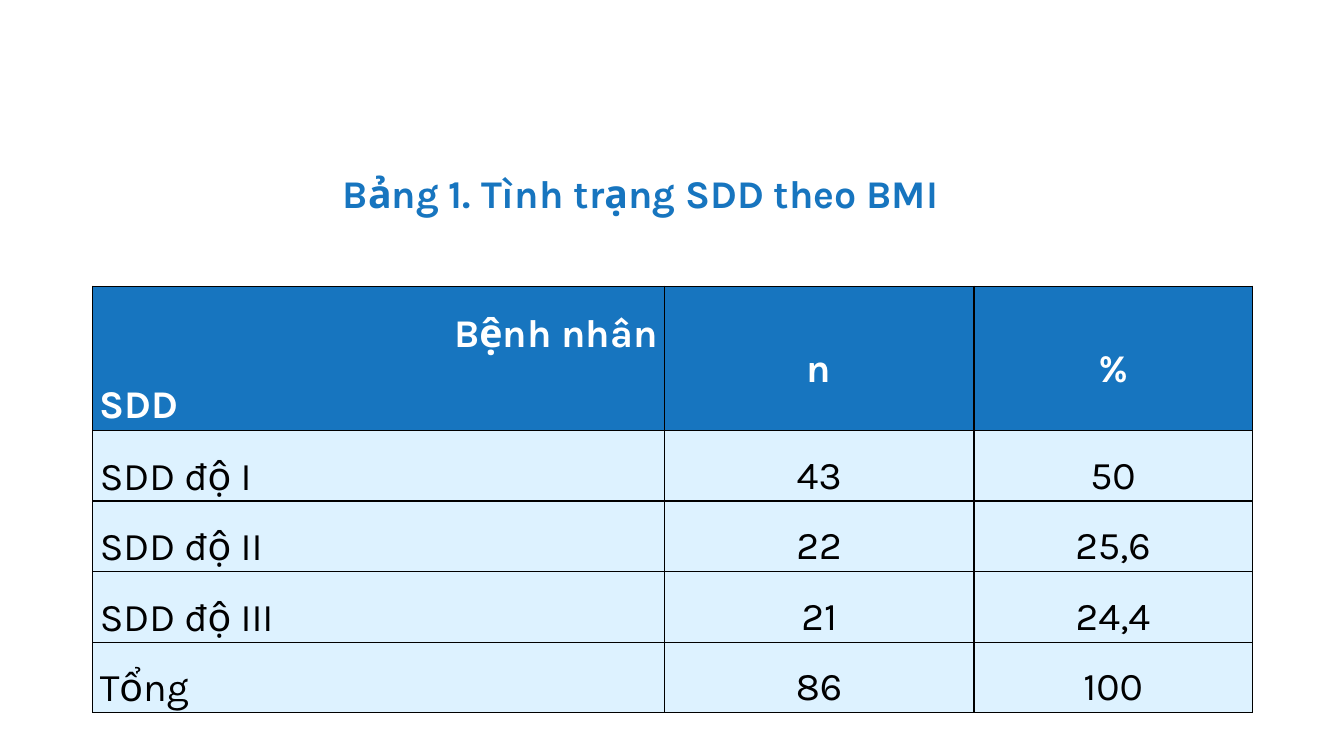
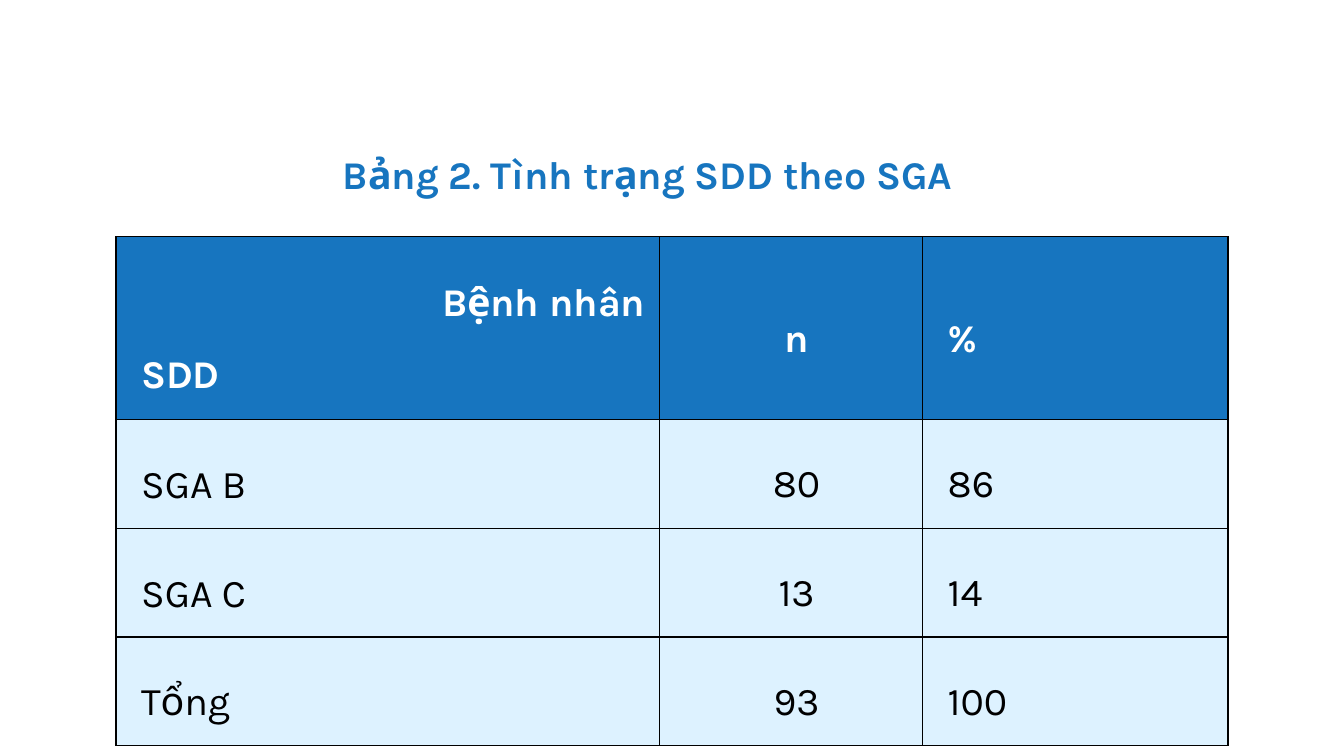
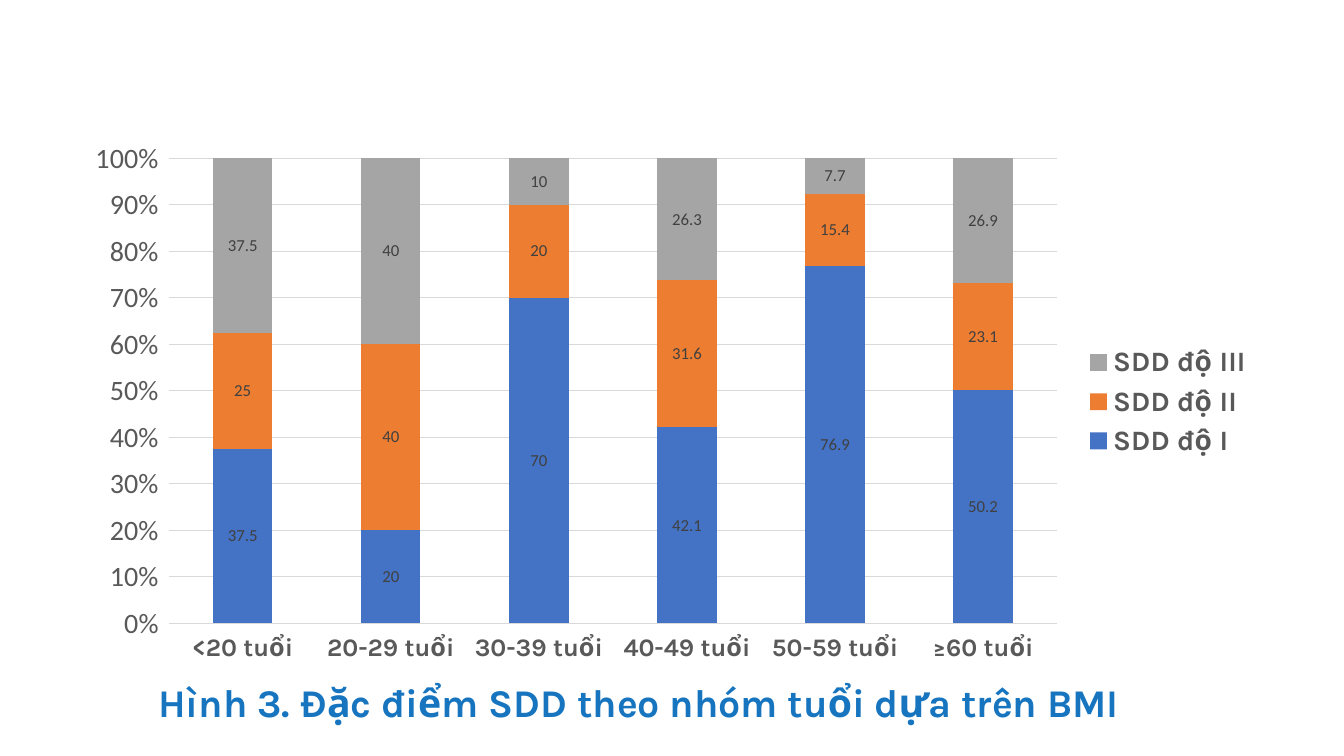
"""Build three slides on malnutrition (SDD) results: two tables and one chart."""
from lxml import etree
from pptx import Presentation
from pptx.chart.data import CategoryChartData
from pptx.dml.color import RGBColor
from pptx.enum.chart import XL_CHART_TYPE, XL_LEGEND_POSITION
from pptx.enum.text import MSO_ANCHOR, MSO_AUTO_SIZE, PP_ALIGN
from pptx.oxml.ns import qn
from pptx.util import Pt

PX = 9144
TITLE_ONLY = 5
TITLE_H = 57

BLUE = RGBColor(0x17, 0x75, 0xBF)
PALE = RGBColor(0xDD, 0xF2, 0xFF)
WHITE = RGBColor(0xFF, 0xFF, 0xFF)
BLACK = RGBColor(0x00, 0x00, 0x00)
GREY = RGBColor(0x59, 0x59, 0x59)
LABEL = RGBColor(0x40, 0x40, 0x40)
GRID = RGBColor(0xD9, 0xD9, 0xD9)
SERIES_COLORS = (RGBColor(0x44, 0x72, 0xC4), RGBColor(0xED, 0x7D, 0x31),
                 RGBColor(0xA5, 0xA5, 0xA5))

KARLA, CALIBRI = "Karla", "Calibri"
LEFT, CENTER, RIGHT = PP_ALIGN.LEFT, PP_ALIGN.CENTER, PP_ALIGN.RIGHT
TOP, MIDDLE = MSO_ANCHOR.TOP, MSO_ANCHOR.MIDDLE
FIXED = MSO_AUTO_SIZE.NONE
STACKED_100 = XL_CHART_TYPE.COLUMN_STACKED_100
LEGEND_RIGHT = XL_LEGEND_POSITION.RIGHT

HEADER = ("Bệnh nhân\nSDD", "n", "%")
BMI_ROWS = (("SDD độ I", "43", "50"), ("SDD độ II", "22", "25,6"),
            ("SDD độ III", "21", "24,4"), ("Tổng", "86", "100"))
SGA_ROWS = (("SGA B", "80", "86"), ("SGA C", "13", "14"),
            ("Tổng", "93", "100"))
AGES = ("<20 tuổi", "20-29 tuổi", "30-39 tuổi", "40-49 tuổi", "50-59 tuổi",
        "≥60 tuổi")
AGE_SERIES = (("SDD độ I", (37.5, 20, 70, 42.1, 76.9, 50.2)),
              ("SDD độ II", (25, 40, 20, 31.6, 15.4, 23.1)),
              ("SDD độ III", (37.5, 40, 10, 26.3, 7.7, 26.9)))


def px(*values):
    """Turn px lengths into a list of EMU."""
    return [v * PX for v in values]


def set_font(font, size, color, name=KARLA, bold=False):
    """Format one font."""
    font.size, font.name, font.bold = Pt(size), name, bold
    font.color.rgb = color


def put_text(tf, text, aligns=(LEFT,), color=BLACK, bold=False, size=28,
             spacing=1.0, gap=0):
    """Write one paragraph for each line of text, each with its alignment."""
    for i, (line, align) in enumerate(zip(text.split("\n"), aligns)):
        p = tf.add_paragraph() if i else tf.paragraphs[0]
        p.alignment, p.line_spacing = align, spacing
        p.space_before = p.space_after = Pt(gap)
        r = p.add_run()
        r.text = line
        set_font(r.font, size, color, bold=bold)


def add_slide(prs, title, x, y, w):
    """Add a slide with its blue title."""
    s = prs.slides.add_slide(prs.slide_layouts[TITLE_ONLY])
    sp = s.shapes.title
    sp.left, sp.top, sp.width, sp.height = px(x, y, w, TITLE_H)
    tf = sp.text_frame
    tf.auto_size, tf.word_wrap, tf.vertical_anchor = FIXED, True, TOP
    put_text(tf, title, color=BLUE, bold=True)
    return s


def add_borders(cell):
    """Draw thin black lines on all sides of a cell."""
    tc_pr = cell._tc.get_or_add_tcPr()
    for side in ("a:lnL", "a:lnR", "a:lnT", "a:lnB"):
        ln = etree.SubElement(tc_pr, qn(side), w=str(Pt(1)))
        fill = etree.SubElement(ln, qn("a:solidFill"))
        etree.SubElement(fill, qn("a:srgbClr"), val=str(BLACK))


def add_data_table(s, rows, x, y, widths, header_h, row_h, margins, last_align):
    """Add a table with the shared header above the given rows."""
    heights = [header_h] + [row_h] * len(rows)
    frame = s.shapes.add_table(len(heights), len(widths),
                               *px(x, y, sum(widths), sum(heights)))
    table = frame.table
    table.first_row = table.horz_banding = False
    for col, w in zip(table.columns, px(*widths)):
        col.width = w
    for row, h in zip(table.rows, px(*heights)):
        row.height = h
    for i, texts in enumerate((HEADER, *rows)):
        head = i == 0
        first = (RIGHT, LEFT) if head else (LEFT,)
        for j, aligns in enumerate((first, (CENTER,), (last_align,))):
            cell = table.cell(i, j)
            (cell.margin_left, cell.margin_top, cell.margin_right,
             cell.margin_bottom) = px(*margins)
            cell.vertical_anchor = MIDDLE if head or j == 0 else TOP
            add_borders(cell)
            cell.fill.solid()
            cell.fill.fore_color.rgb = BLUE if head else PALE
            put_text(cell.text_frame, texts[j], aligns, bold=head,
                     color=WHITE if head else BLACK, spacing=1.5, gap=1)


def add_age_chart(s, x, y, w, h):
    """Add the stacked percentage columns by age group."""
    data = CategoryChartData()
    data.categories = AGES
    for name, values in AGE_SERIES:
        data.add_series(name, values)
    chart = s.shapes.add_chart(STACKED_100, *px(x, y, w, h), data).chart
    chart.has_title = False
    set_font(chart.font, 10, BLACK, CALIBRI)
    chart.has_legend = True
    chart.legend.position = LEGEND_RIGHT
    chart.legend.include_in_layout = False
    set_font(chart.legend.font, 20, GREY, bold=True)

    ages, shares = chart.category_axis, chart.value_axis
    set_font(ages.tick_labels.font, 18, GREY, bold=True)
    set_font(shares.tick_labels.font, 20, GREY, CALIBRI)
    for axis in (ages, shares):
        axis.format.line.fill.background()
    shares.tick_labels.number_format = "0%"
    shares.tick_labels.number_format_is_linked = False
    grid = shares.major_gridlines.format.line
    grid.width, grid.color.rgb = Pt(0.75), GRID

    plot = chart.plots[0]
    plot.gap_width, plot.overlap, plot.vary_by_categories = 150, 100, False
    for series, color in zip(plot.series, SERIES_COLORS):
        series.format.fill.solid()
        series.format.fill.fore_color.rgb = color
        series.data_labels.show_value = True
        set_font(series.data_labels.font, 12, LABEL, CALIBRI)


def main():
    """Build and save the slides."""
    prs = Presentation()
    prs.slide_width, prs.slide_height = px(1333, 750)

    s = add_slide(prs, "Bảng 1. Tình trạng SDD theo BMI", 330, 163, 674)
    add_data_table(s, BMI_ROWS, 92, 284, (567, 307, 276), 143, 70,
                   (7, 0, 7, 0), CENTER)

    s = add_slide(prs, "Bảng 2. Tình trạng SDD theo SGA", 330, 144, 674)
    add_data_table(s, SGA_ROWS, 115, 235, (539, 261, 303), 181, 108,
                   (25, 19, 14, 19), LEFT)

    s = add_slide(prs, "Hình 3. Đặc điểm SDD theo nhóm tuổi dựa trên BMI",
                  147, 668, 1039)
    add_age_chart(s, 71, 129, 1182, 539)
    prs.save("out.pptx")


if __name__ == "__main__":
    main()
